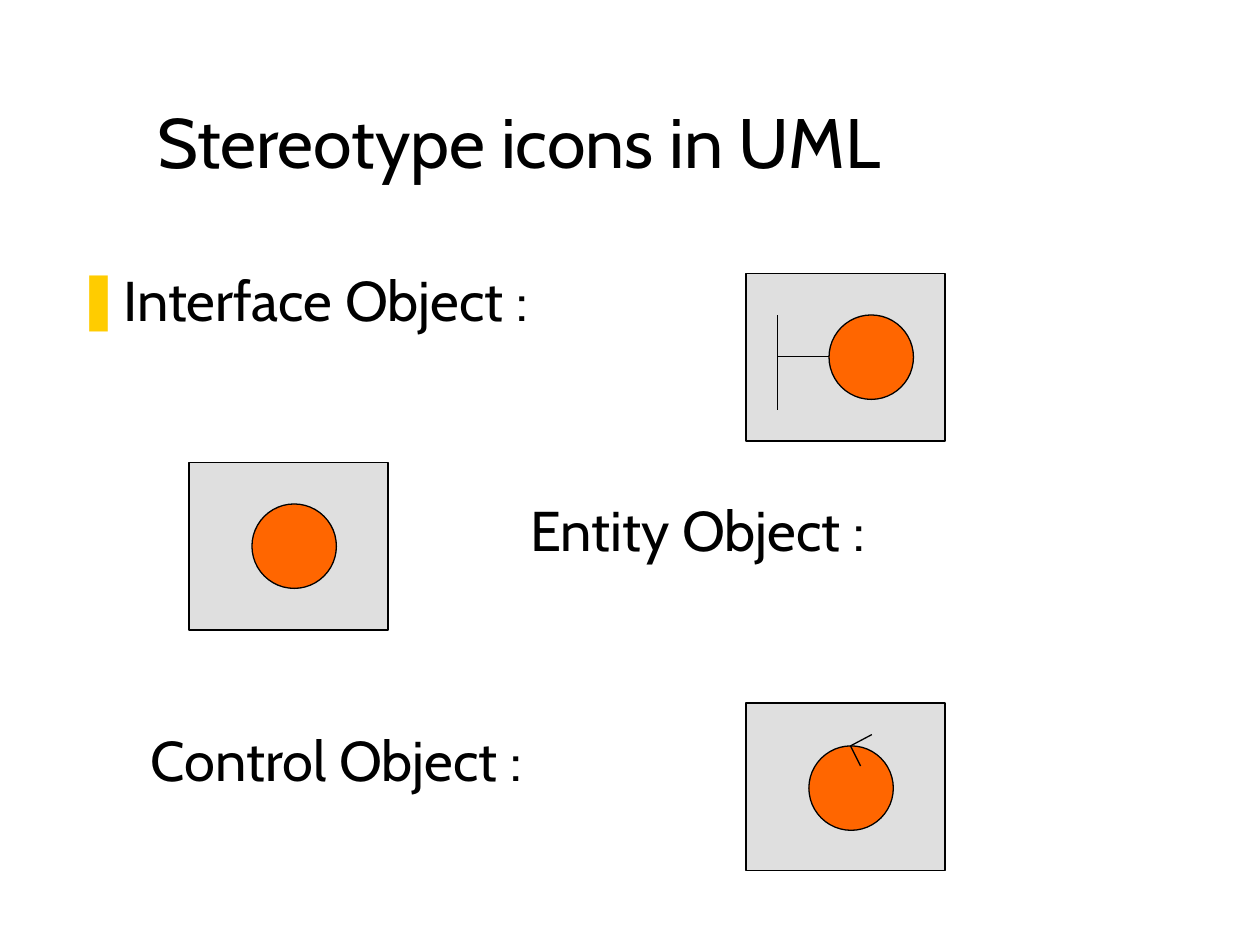
from dataclasses import dataclass

from lxml.etree import SubElement
from pptx import Presentation
from pptx.dml.color import RGBColor
from pptx.enum.shapes import MSO_CONNECTOR, MSO_SHAPE
from pptx.enum.text import MSO_ANCHOR, MSO_AUTO_SIZE, PP_ALIGN
from pptx.oxml.ns import qn
from pptx.util import Inches, Pt


@dataclass(frozen=True)
class Theme:
    ink: RGBColor = RGBColor(0x00, 0x00, 0x00)
    panel: RGBColor = RGBColor(0xC0, 0xC0, 0xC0)
    icon: RGBColor = RGBColor(0xFF, 0x66, 0x00)
    bullet: str = "FFCC00"
    font: str = "Cabin"
    title_size: int = 40
    body_size: int = 32
    line_width: float = 0.75


THEME = Theme()
PANEL_SIZE = (1.58, 1.33)
CIRCLE_SIZE = (0.67, 0.67)


def place(shape, left, top, width, height):
    shape.left, shape.top = Inches(left), Inches(top)
    shape.width, shape.height = Inches(width), Inches(height)


def write_text(shape, text, size):
    paragraph = shape.text_frame.paragraphs[0]
    paragraph.text = text
    paragraph.alignment = PP_ALIGN.LEFT
    paragraph.font.name = THEME.font
    paragraph.font.size = Pt(size)
    paragraph.font.color.rgb = THEME.ink
    return paragraph


def set_indent(paragraph, margin, first_line):
    properties = paragraph._p.get_or_add_pPr()
    properties.set("marL", str(Inches(margin)))
    properties.set("indent", str(Inches(first_line)))
    return properties


def add_bullet(paragraph, character):
    properties = set_indent(paragraph, 0.38, -0.38)
    color = SubElement(properties, qn("a:buClr"))
    SubElement(color, qn("a:srgbClr"), val=THEME.bullet)
    SubElement(properties, qn("a:buChar"), char=character)


def fill_title(slide, text):
    title = slide.shapes.title
    place(title, 0.44, 0.25, 8.5, 1.25)
    title.text_frame.vertical_anchor = MSO_ANCHOR.BOTTOM
    title.text_frame.auto_size = MSO_AUTO_SIZE.NONE
    paragraph = write_text(title, text, THEME.title_size)
    set_indent(paragraph, 0.71, 0)


def fill_body(slide, text):
    body = slide.placeholders[1]
    place(body, 0.5, 2.06, 8.94, 4.56)
    body.text_frame.auto_size = MSO_AUTO_SIZE.NONE
    add_bullet(body.text_frame.paragraphs[0], "❚")
    paragraph = write_text(body, text, THEME.body_size)
    paragraph.space_before = Pt(8)


def add_label(slide, text, left, top, width):
    label = slide.shapes.add_textbox(Inches(left), Inches(top), Inches(width), Inches(0.64))
    label.text_frame.word_wrap = False
    label.text_frame.auto_size = MSO_AUTO_SIZE.SHAPE_TO_FIT_TEXT
    write_text(label, text, THEME.body_size)


def set_line(line):
    line.color.rgb = THEME.ink
    line.width = Pt(THEME.line_width)


def add_outlined(slide, kind, position, size, color):
    shape = slide.shapes.add_shape(kind, *map(Inches, position + size))
    shape.shadow.inherit = False
    shape.fill.solid()
    shape.fill.fore_color.rgb = color
    set_line(shape.line)
    return shape


def add_panel(slide, position):
    panel = add_outlined(slide, MSO_SHAPE.RECTANGLE, position, PANEL_SIZE, THEME.panel)
    color = panel._element.spPr.find(qn("a:solidFill"))[0]
    SubElement(color, qn("a:alpha"), val="50000")


def add_stroke(slide, start, end):
    stroke = slide.shapes.add_connector(MSO_CONNECTOR.STRAIGHT, *map(Inches, start + end))
    set_line(stroke.line)
    SubElement(stroke._element.spPr, qn("a:effectLst"))


def add_icon(slide, panel_position, circle_position, strokes=()):
    add_panel(slide, panel_position)
    add_outlined(slide, MSO_SHAPE.OVAL, circle_position, CIRCLE_SIZE, THEME.icon)
    for start, end in strokes:
        add_stroke(slide, start, end)


def main():
    presentation = Presentation()
    presentation.slide_width = Inches(10)
    presentation.slide_height = Inches(7.5)
    slide = presentation.slides.add_slide(presentation.slide_layouts[1])

    fill_title(slide, "Stereotype icons in UML")
    fill_body(slide, "Interface Object :")
    add_label(slide, "Entity Object :", 4.11, 3.88, 3.09)
    add_label(slide, "Control Object :", 1.1, 5.71, 3.46)

    interface_strokes = [((6.17, 2.5), (6.17, 3.25)), ((6.17, 2.83), (6.58, 2.83))]
    arrow_tip = (6.75, 5.92)
    control_strokes = [(arrow_tip, (6.83, 6.08)), (arrow_tip, (6.92, 5.83))]
    add_icon(slide, (5.92, 2.17), (6.58, 2.5), interface_strokes)
    add_icon(slide, (1.5, 3.67), (2, 4))
    add_icon(slide, (5.92, 5.58), (6.42, 5.92), control_strokes)

    presentation.save("out.pptx")


if __name__ == "__main__":
    main()
